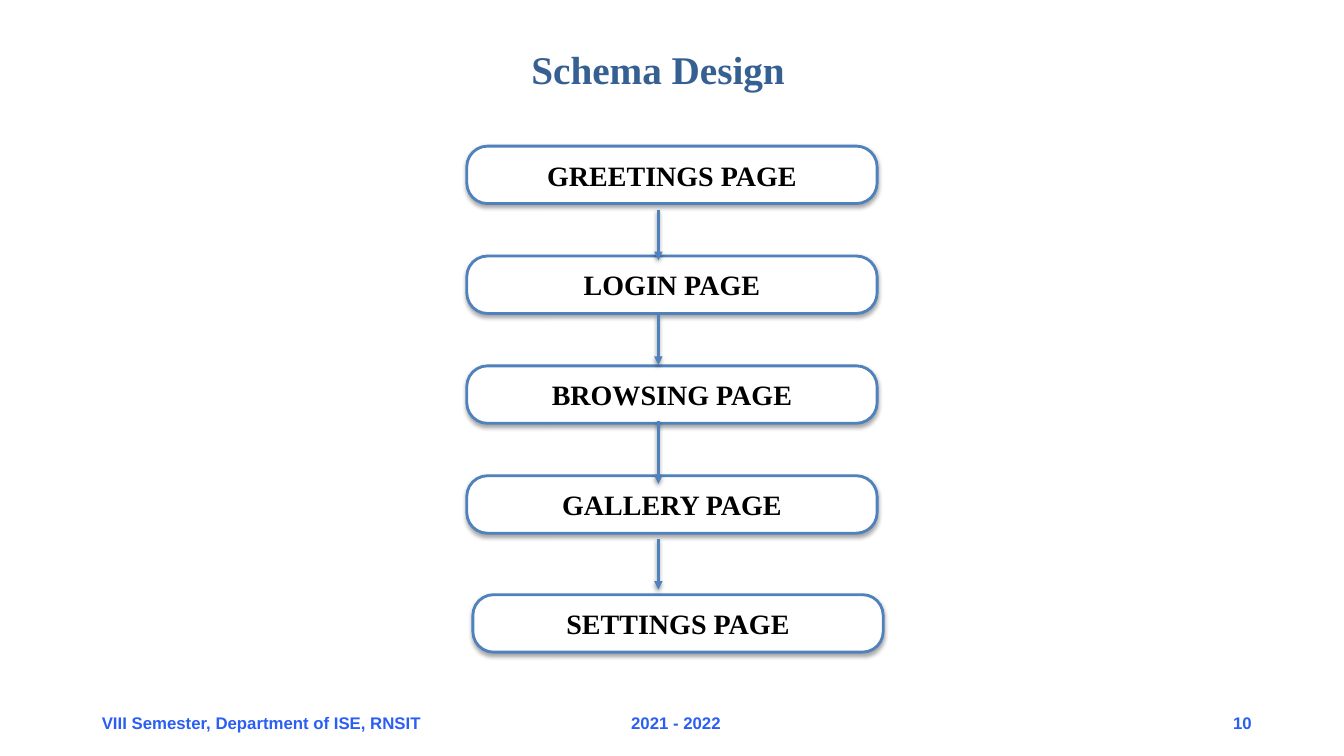
from dataclasses import dataclass

from lxml import etree
from pptx import Presentation
from pptx.dml.color import RGBColor
from pptx.enum.shapes import MSO_CONNECTOR, MSO_SHAPE
from pptx.enum.text import MSO_ANCHOR, MSO_AUTO_SIZE, PP_ALIGN
from pptx.oxml.ns import qn
from pptx.util import Inches, Pt

ROUNDED = MSO_SHAPE.ROUNDED_RECTANGLE
STRAIGHT = MSO_CONNECTOR.STRAIGHT
LEFT, CENTER = PP_ALIGN.LEFT, PP_ALIGN.CENTER
TOP, MIDDLE = MSO_ANCHOR.TOP, MSO_ANCHOR.MIDDLE
NO_FIT = MSO_AUTO_SIZE.NONE

SERIF, SANS = "Times New Roman", "Arial"
WHITE, BLACK, BLUE = "FFFFFF", "000000", "4F81BD"
TITLE_BLUE, FOOTER_BLUE = "376092", "2B5FF3"

BOX_TOP, BOX_PITCH = 1.45, 1.09
BOX_LEFT, BOX_WIDTH, BOX_HEIGHT = 4.63, 4.07, 0.57
ARROW_X = 6.53


@dataclass
class Page:
    name: str
    left: float
    top: float


@dataclass
class Arrow:
    start: float
    end: float


@dataclass
class FooterItem:
    text: str
    left: float
    width: float


PAGES = [
    Page(f"{name} PAGE", BOX_LEFT, BOX_TOP + i * BOX_PITCH)
    for i, name in enumerate(["GREETINGS", "LOGIN", "BROWSING", "GALLERY"])
] + [Page("SETTINGS PAGE", 4.69, 5.9)]

ARROWS = [Arrow(2.08, 2.58), Arrow(3.13, 3.62), Arrow(4.18, 4.8), Arrow(5.35, 5.85)]

FOOTER = [
    FooterItem("VIII Semester, Department of ISE, RNSIT", 1.01, 3.3),
    FooterItem("2021 - 2022", 6.26, 1.41),
    FooterItem("10", 12.23, 0.34),
]


def color(value: str) -> RGBColor:
    return RGBColor.from_string(value)


def set_text(sp, text: str, font: str, size: float, value: str,
             align=LEFT, anchor=TOP, margin: float = 0, wrap: bool = True) -> None:
    tf = sp.text_frame
    frame = {"word_wrap": wrap, "auto_size": NO_FIT, "vertical_anchor": anchor}
    frame.update({f"margin_{side}": Inches(margin)
                  for side in ("left", "top", "right", "bottom")})
    for name, setting in frame.items():
        setattr(tf, name, setting)
    p = tf.paragraphs[0]
    p.alignment = align
    r = p.add_run()
    r.text = text
    for name, setting in {"name": font, "size": Pt(size), "bold": True}.items():
        setattr(r.font, name, setting)
    r.font.color.rgb = color(value)


def set_line(sp) -> None:
    sp.line.color.rgb = color(BLUE)
    sp.line.width = Pt(2)


def add_shadow(sp, distance: float, opacity: int) -> None:
    effects = etree.SubElement(sp._element.spPr, qn("a:effectLst"))
    shadow = etree.SubElement(
        effects, qn("a:outerShdw"), blurRad=str(Pt(3)), dist=str(Pt(distance)),
        dir="5400000", rotWithShape="0")
    tone = etree.SubElement(shadow, qn("a:srgbClr"), val=BLACK)
    etree.SubElement(tone, qn("a:alpha"), val=str(opacity * 1000))


def add_page(slide, page: Page) -> None:
    sp = slide.shapes.add_shape(ROUNDED, Inches(page.left), Inches(page.top),
                                Inches(BOX_WIDTH), Inches(BOX_HEIGHT))
    sp.adjustments[0] = 0.36
    sp.fill.solid()
    sp.fill.fore_color.rgb = color(WHITE)
    set_line(sp)
    add_shadow(sp, 1.8, 35)
    set_text(sp, page.name, SERIF, 20, BLACK, CENTER, MIDDLE, 0.05)


def add_arrow(slide, arrow: Arrow) -> None:
    sp = slide.shapes.add_connector(STRAIGHT, Inches(ARROW_X), Inches(arrow.start),
                                    Inches(ARROW_X), Inches(arrow.end))
    set_line(sp)
    etree.SubElement(sp.line._get_or_add_ln(), qn("a:tailEnd"), type="triangle")
    add_shadow(sp, 1.6, 38)


def add_footer(slide, item: FooterItem) -> None:
    sp = slide.shapes.add_textbox(Inches(item.left), Inches(7.07),
                                  Inches(item.width), Inches(0.2))
    set_text(sp, item.text, SANS, 12, FOOTER_BLUE)


def main() -> None:
    prs = Presentation()
    prs.slide_width, prs.slide_height = Inches(13.33), Inches(7.5)
    slide = prs.slides.add_slide(prs.slide_layouts[5])

    # Title
    title = slide.shapes.title
    place = {"left": 5.27, "top": 0.45, "width": 2.54, "height": 0.49}
    for name, value in place.items():
        setattr(title, name, Inches(value))
    set_text(title, "Schema Design", SERIF, 28, TITLE_BLUE, wrap=False)

    # Footer
    for item in FOOTER:
        add_footer(slide, item)

    # Page flow
    for page in PAGES:
        add_page(slide, page)
    for arrow in ARROWS:
        add_arrow(slide, arrow)

    prs.save("out.pptx")


if __name__ == "__main__":
    main()
